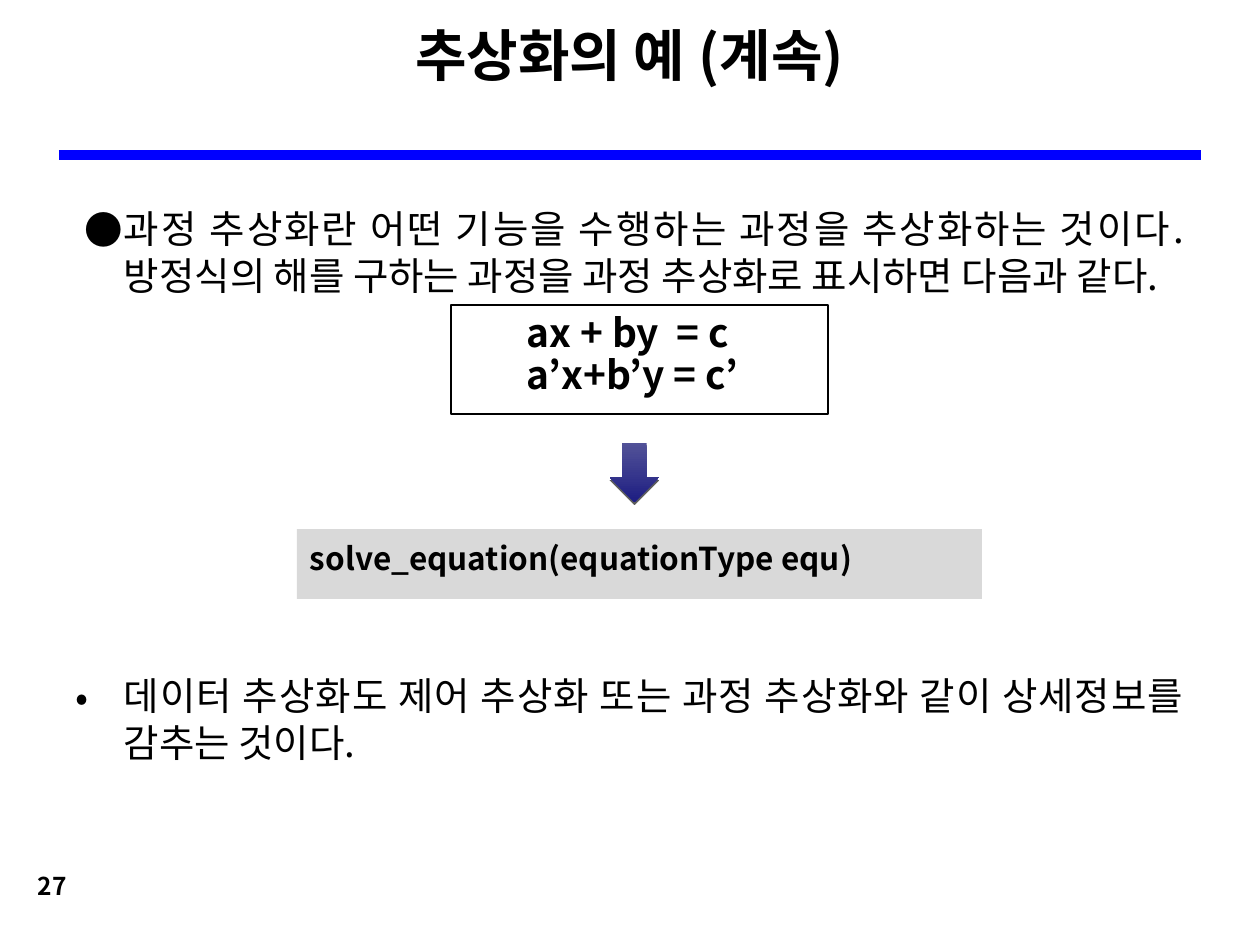
from lxml.etree import SubElement
from pptx import Presentation
from pptx.dml.color import RGBColor
from pptx.enum.shapes import MSO_CONNECTOR, MSO_SHAPE
from pptx.enum.text import MSO_ANCHOR, PP_ALIGN
from pptx.oxml.ns import qn
from pptx.util import Pt

PX = 914400 // 126
FONT = "Noto Sans CJK KR"
BLACK = "000000"

TITLE = "추상화의 예 (계속)"
PAGE_NUMBER = "27"
CALL = "solve_equation(equationType equ)"
EQUATIONS = ["ax + by  = c", "a’x+b’y = c’"]
# text, bullet, top, hanging indent
BULLETS = [
    ("과정 추상화란 어떤 기능을 수행하는 과정을 추상화하는 것이다. "
     "방정식의 해를 구하는 과정을 과정 추상화로 표시하면 다음과 같다.", "●", 205, 39),
    ("데이터 추상화도 제어 추상화 또는 과정 추상화와 같이 상세정보를 "
     "감추는 것이다.", "•", 672, 48),
]


def px(*values):
    return [round(v * PX) for v in values]


def rgb(value):
    return RGBColor.from_string(value)


def write(sp, lines, size, bold=True, align=PP_ALIGN.LEFT, spacing=None,
          inset=(13, 6), anchor=MSO_ANCHOR.TOP, left=0, hang=0, bullet=None):
    """Fill a shape with one paragraph a line; spacing is in points."""
    tf = sp.text_frame
    tf.word_wrap = True
    tf.vertical_anchor = anchor
    tf.margin_left = tf.margin_right = inset[0] * PX
    tf.margin_top = tf.margin_bottom = inset[1] * PX
    for i, line in enumerate(lines):
        p = tf.paragraphs[0] if i == 0 else tf.add_paragraph()
        p.alignment = align
        if spacing:
            p.line_spacing = Pt(spacing)
        pPr = p._p.get_or_add_pPr()
        pPr.set("marL", str(left * PX))
        pPr.set("indent", str(-hang * PX))
        if bullet:
            clr = SubElement(pPr, qn("a:buClr"))
            SubElement(clr, qn("a:srgbClr"), val=BLACK)
            SubElement(pPr, qn("a:buFont"), typeface=FONT)
            SubElement(pPr, qn("a:buChar"), char=bullet)
        r = p.add_run()
        r.text = line
        r.font.size = Pt(size)
        r.font.bold = bold
        r.font.color.rgb = rgb(BLACK)
        r.font.name = FONT
        SubElement(r._r.get_or_add_rPr(), qn("a:ea"), typeface=FONT)


def add_box(s, box, fill, line=None):
    sp = s.shapes.add_shape(MSO_SHAPE.RECTANGLE, *px(*box))
    sp.shadow.inherit = False
    sp.fill.solid()
    sp.fill.fore_color.rgb = rgb(fill)
    if line:
        sp.line.color.rgb = rgb(line)
        sp.line.width = Pt(1)
    else:
        sp.line.fill.background()
    return sp


def add_rule(s, x1, x2, y):
    rule = s.shapes.add_connector(MSO_CONNECTOR.STRAIGHT, *px(x1, y, x2, y))
    rule.line.color.rgb = rgb("0000FF")
    rule.line.width = Pt(6)
    SubElement(rule._element.spPr, qn("a:effectLst"))


def add_arrow(s, box):
    sp = s.shapes.add_shape(MSO_SHAPE.DOWN_ARROW, *px(*box))
    sp.shadow.inherit = False
    sp.line.fill.background()
    sp.fill.gradient()
    sp.fill.gradient_angle = 270
    for stop, color, position in zip(sp.fill.gradient_stops, ("525298", "1E1E82"), (0, 1)):
        stop.color.rgb = rgb(color)
        stop.position = position
    effects = sp._element.spPr.find(qn("a:effectLst"))
    shadow = SubElement(effects, qn("a:outerShdw"), dist=str(Pt(1.5)),
                        dir="5400000", rotWithShape="0")
    color = SubElement(shadow, qn("a:srgbClr"), val=BLACK)
    SubElement(color, qn("a:alpha"), val="63000")


def main():
    prs = Presentation()
    prs.slide_width, prs.slide_height = px(1260, 945)
    s = prs.slides.add_slide(prs.slide_layouts[6])

    add_rule(s, 59, 1201, 155)
    write(s.shapes.add_textbox(*px(25, 863, 1201, 66)), [PAGE_NUMBER], 14, spacing=18)
    write(s.shapes.add_textbox(*px(208, 25, 843, 59)), [TITLE], 32,
          align=PP_ALIGN.CENTER, inset=(13, 0), anchor=MSO_ANCHOR.MIDDLE)
    for text, bullet, top, hang in BULLETS:
        write(s.shapes.add_textbox(*px(63, top, 1134, 94)), [text], 22, bold=False,
              align=PP_ALIGN.JUSTIFY, spacing=26.5, inset=(13, 0),
              left=48, hang=hang, bullet=bullet)
    write(add_box(s, (297, 529, 685, 70), "D9D9D9"), [CALL], 18, spacing=24)
    write(add_box(s, (451, 305, 377, 109), "FFFFFF", BLACK), EQUATIONS, 22.2,
          align=PP_ALIGN.JUSTIFY, spacing=24, inset=(13, 8), left=63)
    add_arrow(s, (610, 443, 49, 59))
    prs.save("out.pptx")


if __name__ == "__main__":
    main()
